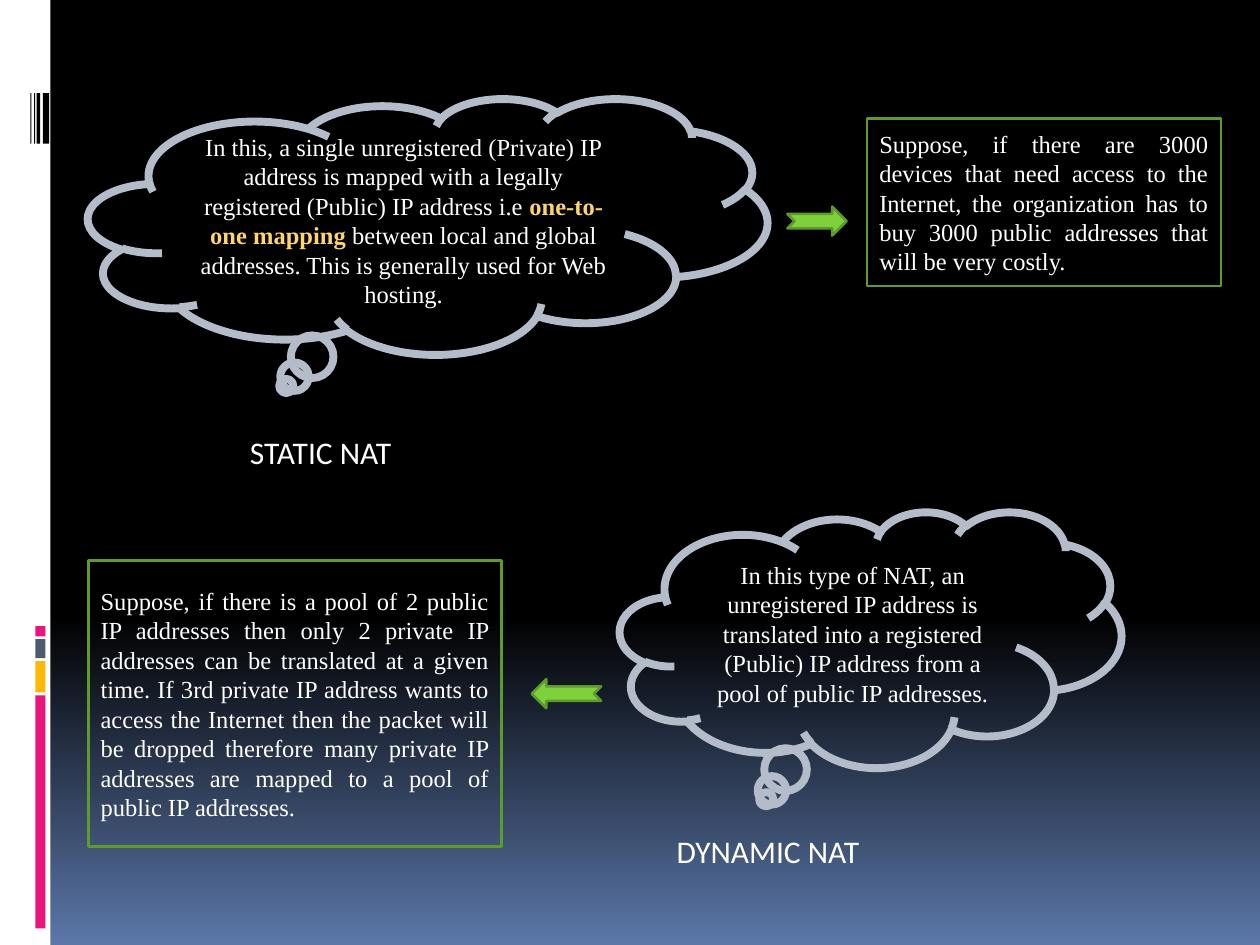
"""Build a slide that contrasts static and dynamic NAT."""
from dataclasses import dataclass

from pptx import Presentation
from pptx import util as u
from pptx.dml.color import RGBColor
from pptx.enum import shapes, text


@dataclass(frozen=True)
class Theme:
    white: str = "FFFFFF"
    black: str = "000000"
    horizon: str = "5B77A8"
    pink: str = "EA157A"
    amber: str = "FEB80A"
    slate: str = "4E5B6F"
    cloud: str = "B4BCCA"
    accent: str = "FED46C"
    green: str = "7FD13B"
    dark_green: str = "5E9B2C"
    body_font: str = "Times New Roman"
    label_font: str = "Calibri"
    body_size: int = 14
    label_size: int = 18
    cloud_line: float = 4.5
    box_line: float = 1.5


THEME = Theme()
COLUMNS, ROWS = 100, 75
KIND = shapes.MSO_SHAPE
ALIGN = text.PP_ALIGN

SIDEBAR = (0, 0, 4, ROWS)
BLOCK_LEFT, BLOCK_TOP, BLOCK_WIDTH, BLOCK_GAP = 2.8, 49.7, 0.8, 0.23
BLOCKS = [(0.8, THEME.pink), (1.5, THEME.slate), (2.5, THEME.amber), (18.5, THEME.pink)]
STRIPE_TOP, STRIPE_HEIGHT = 7.4, 4
STRIPES = [(3.4, 0.5), (2.9, 0.3), (2.7, 0.1), (2.4, 0.1)]

CLOUDS = [
    ((7, 7.8, 53.9, 20.3), [
        ("In this, a single unregistered (Private) IP address is mapped with a legally "
         "registered (Public) IP address i.e ", False),
        ("one-to-one mapping", True),
        (" between local and global addresses. This is generally used for Web hosting.", False),
    ]),
    ((49.2, 40.6, 39.8, 20.3), [
        ("In this type of NAT, an unregistered IP address is translated into a registered "
         "(Public) IP address from a pool of public IP addresses.", False),
    ]),
]
LABELS = [
    ((14.1, 32, 22.7, 7.8), "STATIC NAT"),
    ((50, 64.8, 21.9, 5.5), "DYNAMIC NAT"),
]
EXAMPLES = [
    ((68.8, 9.4, 28.1, 13.3),
     "Suppose, if there are 3000 devices that need access to the Internet, the organization "
     "has to buy 3000 public addresses that will be very costly."),
    ((7, 44.5, 32.8, 22.7),
     "Suppose, if there is a pool of 2 public IP addresses then only 2 private IP addresses "
     "can be translated at a given time. If 3rd private IP address wants to access the "
     "Internet then the packet will be dropped therefore many private IP addresses are "
     "mapped to a pool of public IP addresses."),
]
ARROWS = [((62.5, 16.4, 4.7, 2.3), 0), ((42.2, 53.9, 5.5, 2.3), 180)]


def color(value):
    return RGBColor.from_string(value)


def add_shape(slide, cell, box, kind=KIND.RECTANGLE, fill=None, line=None, width=0):
    shape = slide.shapes.add_shape(kind, *(round(part * cell) for part in box))
    shape.shadow.inherit = False
    if fill:
        shape.fill.solid()
        shape.fill.fore_color.rgb = color(fill)
    else:
        shape.fill.background()
    if line:
        shape.line.color.rgb = color(line)
        shape.line.width = u.Pt(width)
    else:
        shape.line.fill.background()
    return shape


def write(shape, runs, alignment, font=THEME.body_font, size=THEME.body_size):
    frame = shape.text_frame
    frame.word_wrap = True
    frame.vertical_anchor = text.MSO_ANCHOR.MIDDLE
    paragraph = frame.paragraphs[0]
    paragraph.alignment = alignment
    paragraph.font.name = font
    paragraph.font.size = u.Pt(size)
    for words, emphasis in runs:
        run = paragraph.add_run()
        run.text = words
        run.font.name = font
        run.font.size = u.Pt(size)
        run.font.bold = emphasis
        run.font.color.rgb = color(THEME.accent if emphasis else THEME.white)


def paint_background(slide):
    fill = slide.background.fill
    fill.gradient()
    fill.gradient_angle = 270
    stops = [(0.65, THEME.black), (1, THEME.horizon)]
    for stop, (position, shade) in zip(fill.gradient_stops, stops):
        stop.position = position
        stop.color.rgb = color(shade)


def add_sidebar(slide, cell):
    add_shape(slide, cell, SIDEBAR, fill=THEME.white)
    top = BLOCK_TOP
    for height, shade in BLOCKS:
        add_shape(slide, cell, (BLOCK_LEFT, top, BLOCK_WIDTH, height), fill=shade)
        top += height + BLOCK_GAP
    for left, width in STRIPES:
        add_shape(slide, cell, (left, STRIPE_TOP, width, STRIPE_HEIGHT), fill=THEME.black)


def main():
    presentation = Presentation()
    presentation.slide_width, presentation.slide_height = u.Inches(10), u.Inches(7.5)
    cell = presentation.slide_width / COLUMNS
    slide = presentation.slides.add_slide(presentation.slide_layouts[6])
    paint_background(slide)
    add_sidebar(slide, cell)
    for box, runs in CLOUDS:
        cloud = add_shape(slide, cell, box, KIND.CLOUD_CALLOUT,
                          line=THEME.cloud, width=THEME.cloud_line)
        write(cloud, runs, ALIGN.CENTER)
    for box, words in LABELS:
        label = slide.shapes.add_textbox(*(round(part * cell) for part in box))
        write(label, [(words, False)], ALIGN.CENTER, THEME.label_font, THEME.label_size)
    for box, words in EXAMPLES:
        example = add_shape(slide, cell, box, line=THEME.dark_green, width=THEME.box_line)
        write(example, [(words, False)], ALIGN.JUSTIFY)
    for box, rotation in ARROWS:
        arrow = add_shape(slide, cell, box, KIND.NOTCHED_RIGHT_ARROW,
                          THEME.green, THEME.dark_green, THEME.box_line)
        arrow.rotation = rotation
    presentation.save("out.pptx")


if __name__ == "__main__":
    main()
